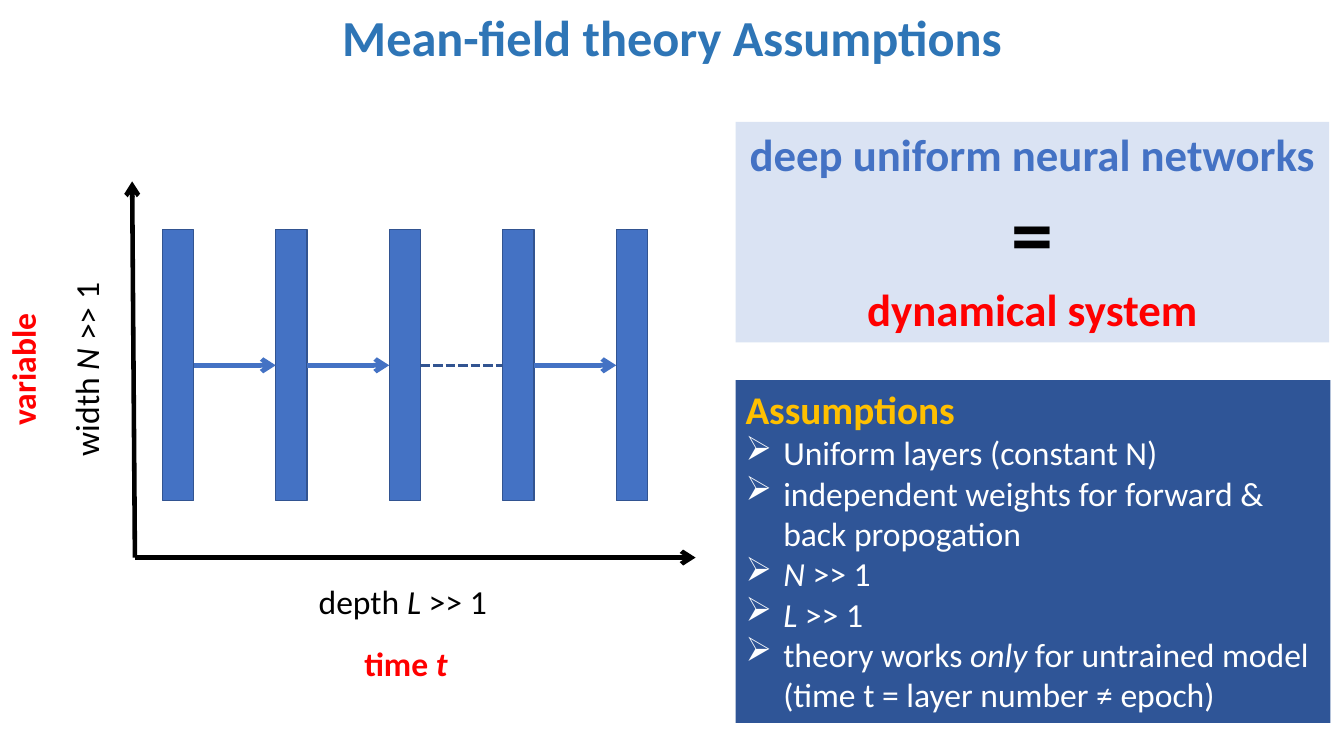
import pptx
import pptx.util
import pptx.dml.color
import pptx.enum.dml
import pptx.enum.shapes
import pptx.enum.text
import pptx.oxml
import pptx.oxml.ns

Cm = pptx.util.Cm
Pt = pptx.util.Pt
RGB = pptx.dml.color.RGBColor
ALIGN = pptx.enum.text.PP_ALIGN
ANCHOR = pptx.enum.text.MSO_ANCHOR

TITLE = RGB(0x2E, 0x75, 0xB6)
BLUE = RGB(0x44, 0x72, 0xC4)
EDGE = RGB(0x32, 0x54, 0x91)
PALE = RGB(0xDA, 0xE3, 0xF3)
NAVY = RGB(0x2F, 0x55, 0x97)
GOLD = RGB(0xFF, 0xC0, 0x00)
RED = RGB(0xFF, 0x00, 0x00)
BLACK = RGB(0x00, 0x00, 0x00)
WHITE = RGB(0xFF, 0xFF, 0xFF)

LAYERS = 5
GAP = 2  # the gap between layers that is dashed
RULES = [
    "Uniform layers (constant N)",
    "independent weights for forward & back propogation",
    "*N* >> 1",
    "*L* >> 1",
    "theory works *only* for untrained model\n(time t = layer number ≠ epoch)",
]


def add_tag(parent, tag, **attrs):
    node = pptx.oxml.parse_xml(f"<a:{tag} {pptx.oxml.ns.nsdecls('a')}/>")
    for key, value in attrs.items():
        node.set(key, value)
    parent.append(node)


def write(para, text, size, color, bold=False, align=ALIGN.LEFT):
    """Fill a paragraph; words between asterisks are italic."""
    para.alignment = align
    font = para.font
    font.name, font.size, font.bold = "Calibri", Pt(size), bold
    font.color.rgb = color
    for row, line in enumerate(text.split("\n")):
        if row:
            para.add_line_break()
        for part, words in enumerate(line.split("*")):
            if words:
                run = para.add_run()
                run.text = words
                if part % 2:
                    run.font.italic = True


def add_box(slide, x, y, w, h, fill=None):
    box = slide.shapes.add_textbox(Cm(x), Cm(y), Cm(w), Cm(h))
    box.text_frame.word_wrap = True
    if fill is not None:
        box.fill.solid()
        box.fill.fore_color.rgb = fill
    return box


def add_title(slide, x, y, w, h):
    frame = add_box(slide, x, y, w, h).text_frame
    frame.vertical_anchor = ANCHOR.MIDDLE
    para = frame.paragraphs[0]
    para.line_spacing = 0.9
    write(para, "Mean-field theory Assumptions", 36, TITLE, True, ALIGN.CENTER)


def add_label(slide, mid_x, mid_y, w, text, color, bold=False, turn=0):
    h = 1.27
    box = add_box(slide, mid_x - w / 2, mid_y - h / 2, w, h)
    box.rotation = turn
    box.text_frame.word_wrap = False
    write(box.text_frame.paragraphs[0], text, 24, color, bold, ALIGN.CENTER)


def add_line(slide, x1, y1, x2, y2, color, dashed=False):
    """Draw an arrow, or a plain dashed line."""
    line = slide.shapes.add_connector(
        pptx.enum.shapes.MSO_CONNECTOR.STRAIGHT, Cm(x1), Cm(y1), Cm(x2), Cm(y2))
    line.line.color.rgb = color
    line.line.width = Pt(2.25 if dashed else 3.25)
    if dashed:
        line.line.dash_style = pptx.enum.dml.MSO_LINE.SQUARE_DOT
    else:
        add_tag(line.line._get_or_add_ln(), "tailEnd", type="arrow")
    add_tag(line._element.spPr, "effectLst")
    return line


def add_layers(slide, x, y, h):
    step, w = 2.86, 0.79
    bars = []
    for num in range(LAYERS):
        bar = slide.shapes.add_shape(
            pptx.enum.shapes.MSO_SHAPE.RECTANGLE,
            Cm(x + num * step), Cm(y), Cm(w), Cm(h))
        bar.shadow.inherit = False
        bar.fill.solid()
        bar.fill.fore_color.rgb = BLUE
        bar.line.color.rgb = EDGE
        bar.line.width = Pt(1)
        bars.append(bar)
    for num, (left, right) in enumerate(zip(bars, bars[1:])):
        dashed = num == GAP
        start, mid = x + num * step + w, y + h / 2
        link = add_line(slide, start, mid, start + step - w, mid,
                        EDGE if dashed else BLUE, dashed)
        link.begin_connect(left, 3)
        link.end_connect(right, 1)


def add_graph(slide, x, y, w, h):
    """Draw the layers inside axes that fill the given box."""
    base = y + h
    add_layers(slide, x + 0.69, y + 1.22, 6.83)
    add_line(slide, x, base, x + w, base, BLACK)
    add_line(slide, x, base, x - 0.07, y, BLACK)
    mid_x, mid_y = x + 6.75, y + h / 2
    add_label(slide, mid_x, base + 1.09, 4.75, "depth *L* >> 1", BLACK)
    add_label(slide, mid_x + 0.08, base + 2.67, 2.62, "time *t*", RED, True)
    add_label(slide, x - 1.24, mid_y, 4.88, "width *N* >> 1", BLACK, turn=270)
    add_label(slide, x - 2.83, mid_y, 3.33, "variable", RED, True, 270)


def add_claim(slide, x, y, w, h):
    frame = add_box(slide, x, y, w, h, PALE).text_frame
    lines = [("deep uniform neural networks", 32, BLUE),
             ("=", 60, BLACK),
             ("dynamical system", 32, RED)]
    for num, (text, size, color) in enumerate(lines):
        para = frame.add_paragraph() if num else frame.paragraphs[0]
        write(para, text, size, color, True, ALIGN.CENTER)


def add_rules(slide, x, y, w, h):
    frame = add_box(slide, x, y, w, h, NAVY).text_frame
    write(frame.paragraphs[0], "Assumptions", 28, GOLD, True)
    indent = Cm(0.95)
    for rule in RULES:
        para = frame.add_paragraph()
        props = para._p.get_or_add_pPr()
        props.set("marL", str(indent))
        props.set("indent", str(-indent))
        add_tag(props, "buChar", char="➢")
        write(para, rule, 24, WHITE)


def main():
    deck = pptx.Presentation()
    deck.slide_width, deck.slide_height = Cm(33.87), Cm(19.05)
    slide = deck.slides.add_slide(deck.slide_layouts[6])
    add_title(slide, 2.34, 0, 29.21, 2.01)
    add_graph(slide, 3.4, 4.57, 14.13, 9.48)
    add_claim(slide, 18.54, 3.07, 14.96, 5.56)
    add_rules(slide, 18.54, 9.58, 14.99, 8.64)
    deck.save("out.pptx")


if __name__ == "__main__":
    main()
